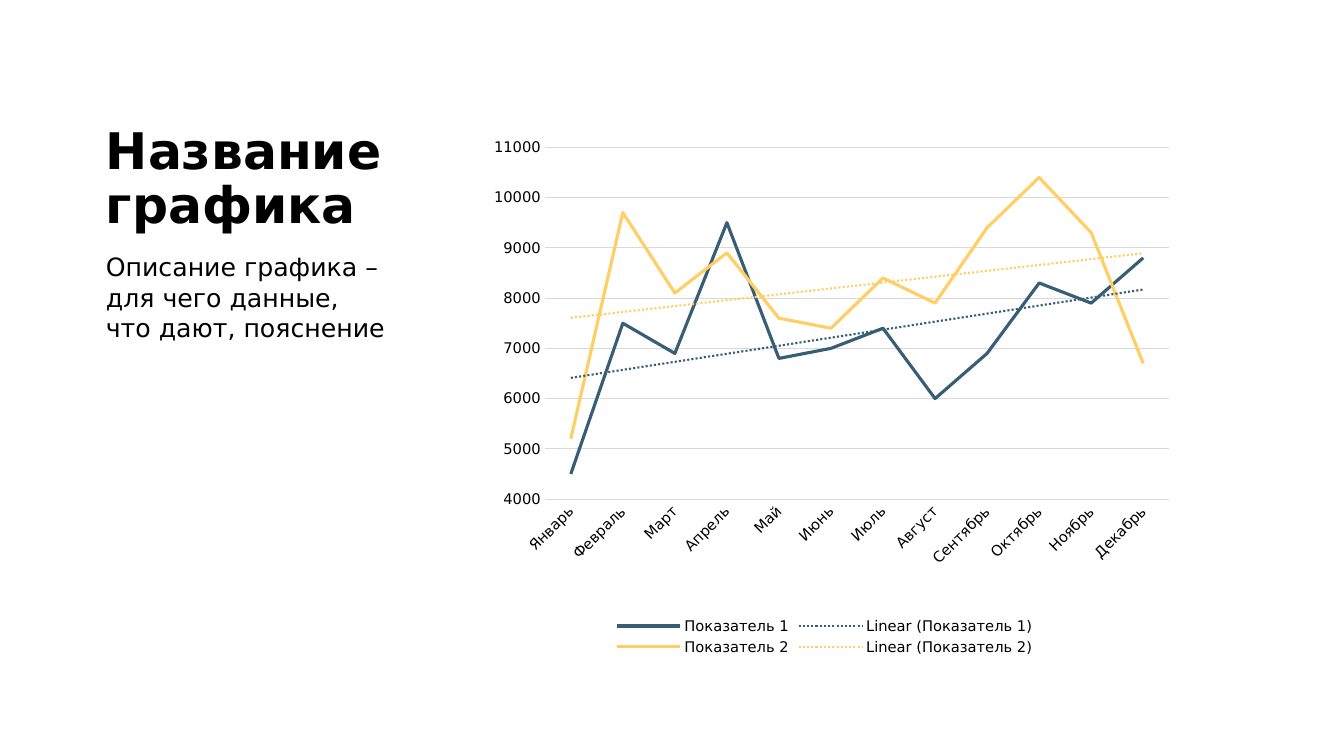
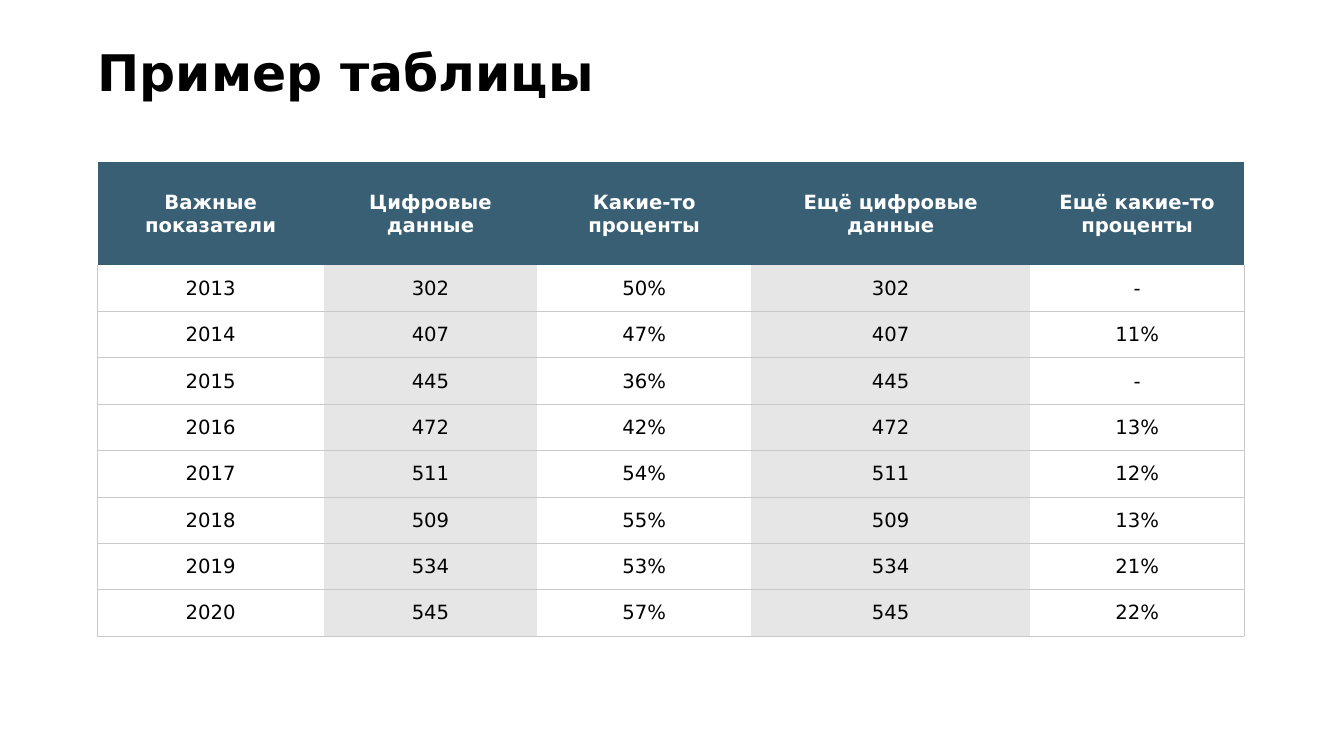
from lxml.etree import SubElement
from pptx import Presentation
from pptx.chart.data import CategoryChartData
from pptx.dml.color import RGBColor
from pptx.enum.chart import XL_CHART_TYPE, XL_LEGEND_POSITION, XL_TICK_MARK
from pptx.enum.text import MSO_ANCHOR, PP_ALIGN
from pptx.oxml import parse_xml
from pptx.oxml.ns import nsdecls, qn
from pptx.util import Inches, Pt

FONT = "DejaVu Sans"
BLACK = RGBColor(0x00, 0x00, 0x00)
WHITE = RGBColor(0xFF, 0xFF, 0xFF)
BLUE = RGBColor(0x38, 0x5E, 0x75)
YELLOW = RGBColor(0xFF, 0xCF, 0x66)
HEADER_BLUE = RGBColor(0x39, 0x5F, 0x75)
COLUMN_GRAY = RGBColor(0xE7, 0xE6, 0xE6)
BORDER_GRAY = RGBColor(0xCA, 0xC8, 0xC8)
GRID_GRAY = RGBColor(0xD9, 0xD9, 0xD9)

# Content of the chart slide
CHART_TITLE = "Название графика"
DESCRIPTION = ["Описание графика – для чего данные,", "что дают, пояснение"]
MONTHS = ["Январь", "Февраль", "Март", "Апрель", "Май", "Июнь", "Июль",
          "Август", "Сентябрь", "Октябрь", "Ноябрь", "Декабрь"]
INDICATORS = [
    ("Показатель 1", BLUE,
     [4500, 7500, 6900, 9500, 6800, 7000, 7400, 6000, 6900, 8300, 7900, 8800]),
    ("Показатель 2", YELLOW,
     [5200, 9700, 8100, 8900, 7600, 7400, 8400, 7900, 9400, 10400, 9300, 6700]),
]
PLOT_AREA = {"x": 0.11, "y": 0.04, "w": 0.87, "h": 0.66}

# Content of the table slide (\v is a line break)
TABLE_TITLE = "Пример таблицы"
HEADERS = ["Важные показатели", "Цифровые\vданные", "Какие-то\vпроценты",
           "Ещё цифровые\vданные", "Ещё какие-то\vпроценты"]
YEARS = [
    ("2013", "302", "50%", "302", "-"),
    ("2014", "407", "47%", "407", "11%"),
    ("2015", "445", "36%", "445", "-"),
    ("2016", "472", "42%", "472", "13%"),
    ("2017", "511", "54%", "511", "12%"),
    ("2018", "509", "55%", "509", "13%"),
    ("2019", "534", "53%", "534", "21%"),
    ("2020", "545", "57%", "545", "22%"),
]
COLUMN_WIDTHS = [2.24, 2.12, 2.12, 2.77, 2.12]
HEADER_HEIGHT, ROW_HEIGHT = 1.02, 0.46


def style_font(font, size, color=BLACK, bold=False):
    font.name, font.size, font.bold = FONT, Pt(size), bold
    font.color.rgb = color


def add_title(slide, text, left, top, width, height):
    """Add a text frame that opens with the title paragraph."""
    frame = slide.shapes.add_textbox(
        Inches(left), Inches(top), Inches(width), Inches(height)).text_frame
    frame.word_wrap = True
    frame.margin_left = frame.margin_top = 0
    frame.margin_right = frame.margin_bottom = 0
    frame.text = text
    title = frame.paragraphs[0]
    title.line_spacing = 0.9
    style_font(title.runs[0].font, 36, bold=True)
    return frame


def place_plot_area(chart):
    plot_area = chart._chartSpace.chart.plotArea
    for automatic in plot_area.findall(qn("c:layout")):
        plot_area.remove(automatic)
    layout = parse_xml(f"<c:layout {nsdecls('c')}/>")
    manual = SubElement(layout, qn("c:manualLayout"))
    settings = {"layoutTarget": "inner", "xMode": "edge", "yMode": "edge", **PLOT_AREA}
    for tag, value in settings.items():
        SubElement(manual, qn(f"c:{tag}")).set("val", str(value))
    plot_area.insert(0, layout)


def add_trend_line(series, color):
    trend = parse_xml(
        f'<c:trendline {nsdecls("c", "a")}><c:spPr><a:ln w="{Pt(1.5)}">'
        f'<a:solidFill><a:srgbClr val="{color}"/></a:solidFill>'
        '<a:prstDash val="sysDot"/></a:ln></c:spPr>'
        '<c:trendlineType val="linear"/><c:dispRSqr val="0"/>'
        '<c:dispEq val="0"/></c:trendline>')
    series._element.find(qn("c:cat")).addprevious(trend)


def set_borders(cell, visible):
    """Draw the sides named in visible (of L, R, T, B) and clear the others."""
    properties = cell._tc.get_or_add_tcPr()
    for position, side in enumerate("LRTB"):
        fill = (f'<a:solidFill><a:srgbClr val="{BORDER_GRAY}"/></a:solidFill>'
                if side in visible else "<a:noFill/>")
        properties.insert(position, parse_xml(
            f'<a:ln{side} {nsdecls("a")} w="{Pt(0.5)}">{fill}</a:ln{side}>'))


def build_chart_slide(slide):
    # Title and description
    frame = add_title(slide, CHART_TITLE, 1.05, 1.25, 3.15, 4.95)
    frame.paragraphs[0].space_after = Pt(12)
    for line in DESCRIPTION:
        paragraph = frame.add_paragraph()
        paragraph.text = line
        style_font(paragraph.runs[0].font, 18)

    # Line chart
    data = CategoryChartData(number_format="0")
    data.categories = MONTHS
    for name, _, values in INDICATORS:
        data.add_series(name, values)
    chart = slide.shapes.add_chart(
        XL_CHART_TYPE.LINE, Inches(4.62), Inches(1.25),
        Inches(7.12), Inches(5.29), data).chart
    chart.has_title = False
    style_font(chart.font, 10)
    place_plot_area(chart)
    chart.plots[0].vary_by_categories = False
    for series, (_, color, _) in zip(chart.plots[0].series, INDICATORS):
        series.smooth = False
        series.format.line.color.rgb = color
        series.format.line.width = Pt(2.25)
        add_trend_line(series, color)

    # Axes
    months, amounts = chart.category_axis, chart.value_axis
    for axis in (months, amounts):
        axis.major_tick_mark = axis.minor_tick_mark = XL_TICK_MARK.NONE
        style_font(axis.tick_labels.font, 10.5)
    amounts.minimum_scale, amounts.maximum_scale = 4000, 11000
    amounts.major_unit = 1000
    amounts.tick_labels.number_format = "0"
    amounts.tick_labels.number_format_is_linked = False
    amounts.format.line.fill.background()
    for line in (months.format.line, amounts.major_gridlines.format.line):
        line.color.rgb = GRID_GRAY
        line.width = Pt(0.75)

    # Legend
    chart.has_legend = True
    chart.legend.position = XL_LEGEND_POSITION.BOTTOM
    chart.legend.include_in_layout = False
    style_font(chart.legend.font, 10.5)


def build_table_slide(slide):
    add_title(slide, TABLE_TITLE, 0.97, 0.48, 11.37, 1.08)

    # Table grid
    rows = [HEADERS, *YEARS]
    table = slide.shapes.add_table(
        len(rows), len(HEADERS), Inches(0.97), Inches(1.61),
        Inches(sum(COLUMN_WIDTHS)),
        Inches(HEADER_HEIGHT + ROW_HEIGHT * len(YEARS))).table
    table.horz_banding = False
    for column, width in zip(table.columns, COLUMN_WIDTHS):
        column.width = Inches(width)
    for r, row in enumerate(table.rows):
        row.height = Inches(ROW_HEIGHT if r else HEADER_HEIGHT)

    # Cells
    last = len(HEADERS) - 1
    for r, texts in enumerate(rows):
        for c, text in enumerate(texts):
            cell = table.cell(r, c)
            cell.vertical_anchor = MSO_ANCHOR.MIDDLE
            cell.margin_left = cell.margin_right = cell.margin_top = Inches(0.01)
            cell.margin_bottom = 0
            cell.text_frame.text = text
            paragraph = cell.text_frame.paragraphs[0]
            paragraph.alignment = PP_ALIGN.CENTER
            for run in paragraph.runs:
                style_font(run.font, 14, BLACK if r else WHITE, bold=r == 0)
            cell.fill.solid()
            body_fill = COLUMN_GRAY if c % 2 else WHITE
            cell.fill.fore_color.rgb = body_fill if r else HEADER_BLUE
            sides = ""
            if r:
                sides = "B" + "T" * (r > 1) + "L" * (c == 0) + "R" * (c == last)
            set_borders(cell, sides)


def main():
    deck = Presentation()
    deck.slide_width, deck.slide_height = Inches(13.33), Inches(7.5)
    for build in (build_chart_slide, build_table_slide):
        build(deck.slides.add_slide(deck.slide_layouts[6]))
    deck.save("out.pptx")


if __name__ == "__main__":
    main()
